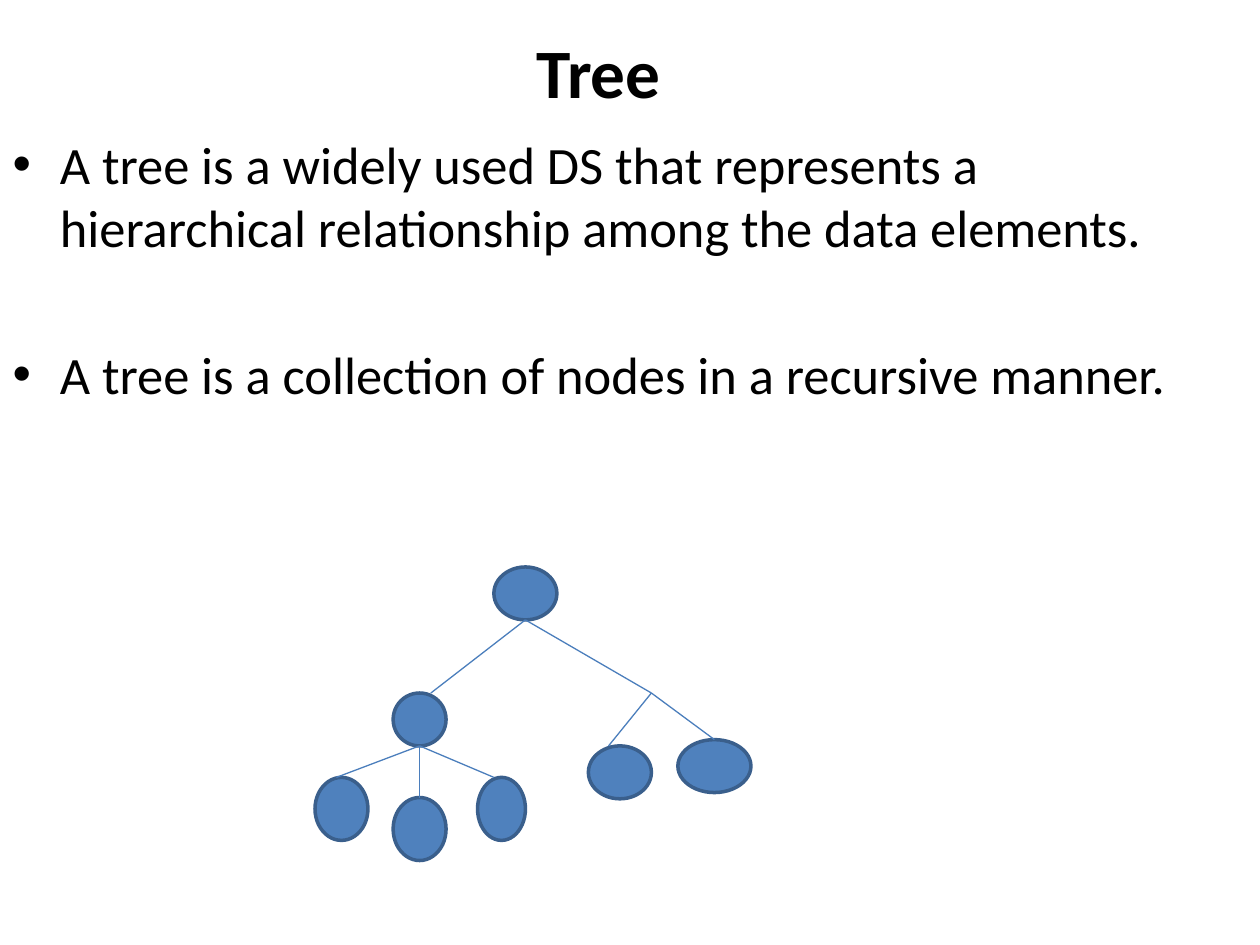
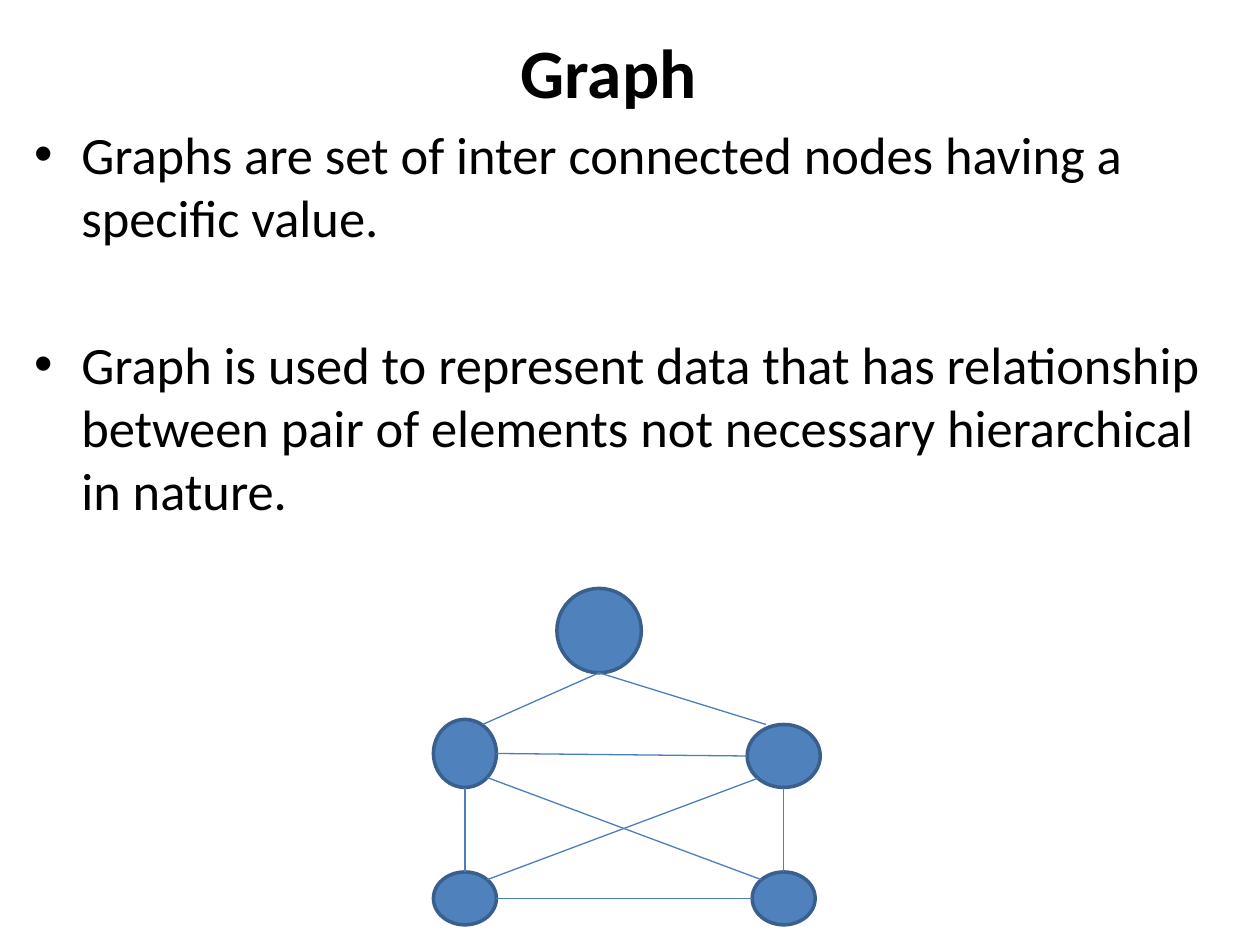
from math import sqrt

from lxml.etree import SubElement
from pptx import Presentation
from pptx.dml.color import RGBColor
from pptx.enum.shapes import MSO_CONNECTOR, MSO_SHAPE
from pptx.enum.text import MSO_ANCHOR, MSO_AUTO_SIZE, PP_ALIGN
from pptx.oxml.ns import qn
from pptx.util import Inches, Pt

TEXT, NODE_FILL, NODE_LINE, EDGE = "000000", "4F81BD", "3A5F8C", "4B7EBC"
TITLE_FONT = {"name": "Calibri", "size": Pt(39.6), "bold": True}
BODY_FONT = {"name": "Calibri", "size": Pt(30), "bold": False}
TITLE_FRAME = {"vertical_anchor": MSO_ANCHOR.MIDDLE, "auto_size": MSO_AUTO_SIZE.NONE, "word_wrap": True}
BODY_FRAME = {**TITLE_FRAME, "vertical_anchor": MSO_ANCHOR.TOP}
BULLET_GAP = Pt(48)

# Points on an ellipse, as multiples of its radii from the centre
DIAGONAL = 1 / sqrt(2)
SIDES = {
    "top": (0, -1), "left": (-1, 0), "bottom": (0, 1), "right": (1, 0),
    "top left": (-DIAGONAL, -DIAGONAL), "top right": (DIAGONAL, -DIAGONAL),
    "bottom left": (-DIAGONAL, DIAGONAL), "bottom right": (DIAGONAL, DIAGONAL),
}


def colour(hex_string):
    return RGBColor.from_string(hex_string)


def set_attributes(target, values):
    for name, value in values.items():
        setattr(target, name, value)


class Deck:
    def __init__(self):
        self.presentation = Presentation()
        set_attributes(self.presentation, {"slide_width": Inches(10), "slide_height": Inches(7.5)})
        self.slide = None
        self.nodes = {}

    def add_slide(self):
        self.slide = self.presentation.slides.add_slide(self.presentation.slide_layouts[1])
        self.nodes = {}

    def place(self, shape, box):
        names = ("left", "top", "width", "height")
        set_attributes(shape, dict(zip(names, map(Inches, box))))

    def add_text(self, paragraph, text, font):
        run = paragraph.add_run()
        run.text = text
        set_attributes(run.font, font)
        run.font.color.rgb = colour(TEXT)

    def title(self, text, left):
        shape = self.slide.shapes.title
        self.place(shape, (left, 0.17, 9, 0.78))
        set_attributes(shape.text_frame, TITLE_FRAME)
        paragraph = shape.text_frame.paragraphs[0]
        paragraph.alignment = PP_ALIGN.CENTER
        self.add_text(paragraph, text, TITLE_FONT)

    def bullets(self, box, items):
        shape = self.slide.placeholders[1]
        self.place(shape, box)
        frame = shape.text_frame
        set_attributes(frame, BODY_FRAME)
        for index, item in enumerate(items):
            paragraph = frame.paragraphs[0]
            if index:
                paragraph = frame.add_paragraph()
                paragraph.space_before = BULLET_GAP
            self.add_text(paragraph, item, BODY_FONT)

    def node(self, name, *box):
        shape = self.slide.shapes.add_shape(MSO_SHAPE.OVAL, *map(Inches, box))
        shape.shadow.inherit = False
        shape.fill.solid()
        shape.fill.fore_color.rgb = colour(NODE_FILL)
        shape.line.color.rgb = colour(NODE_LINE)
        shape.line.width = Pt(2)
        self.nodes[name] = shape

    def point(self, end):
        """Turn (node name, side) or a pair of inches into a position."""
        if end[0] not in self.nodes:
            return Inches(end[0]), Inches(end[1])
        shape, (across, down) = self.nodes[end[0]], SIDES[end[1]]
        return (int(shape.left + shape.width * (1 + across) / 2),
                int(shape.top + shape.height * (1 + down) / 2))

    def edge(self, start, end):
        connector = self.slide.shapes.add_connector(
            MSO_CONNECTOR.STRAIGHT, *self.point(start), *self.point(end))
        connector.line.color.rgb = colour(EDGE)
        connector.line.width = Pt(0.75)
        SubElement(connector._element.spPr, qn("a:effectLst"))
        if end[1] == "top":
            connector.end_connect(self.nodes[end[0]], 0)

    def diagram(self, nodes, edges):
        for name, box in nodes.items():
            self.node(name, *box)
        for start, end in edges:
            self.edge(start, end)


def tree_slide(deck):
    deck.add_slide()
    deck.title("Tree", 0.25)
    deck.bullets((0, 1, 9.92, 6.5), [
        "A tree is a widely used DS that represents a hierarchical relationship among the data elements.",
        "A tree is a collection of nodes in a recursive manner.",
    ])
    # Tree: the right branch forks without a node of its own
    root, parent, fork = ("root", "bottom"), ("parent", "bottom"), (5.17, 5.5)
    deck.diagram({
        "root": (3.92, 4.5, 0.5, 0.42),
        "parent": (3.12, 5.5, 0.42, 0.42),
        "first child": (2.5, 6.17, 0.42, 0.5),
        "second child": (3.12, 6.33, 0.42, 0.5),
        "third child": (3.79, 6.17, 0.38, 0.5),
        "left leaf": (4.67, 5.92, 0.5, 0.42),
        "right leaf": (5.38, 5.87, 0.58, 0.42),
    }, [
        (root, (3.42, 5.5)),
        (root, fork),
        (parent, (2.67, 6.17)),
        (parent, ("second child", "top")),
        (parent, (3.92, 6.17)),
        (fork, (4.83, 5.92)),
        (fork, ("right leaf", "top")),
    ])


def graph_slide(deck):
    deck.add_slide()
    deck.title("Graph", 0.33)
    deck.bullets((0.17, 0.92, 9.75, 6.42), [
        "Graphs are set of inter connected nodes having a specific value.",
        "Graph is used to represent data that has relationship between pair of elements "
        "not necessary hierarchical in nature.",
    ])
    # Graph: an apex above four nodes that are nearly all joined
    apex = ("apex", "bottom")
    deck.diagram({
        "apex": (4.42, 4.67, 0.67, 0.67),
        "upper left": (3.44, 5.71, 0.5, 0.54),
        "upper right": (5.93, 5.75, 0.58, 0.5),
        "lower left": (3.44, 6.92, 0.5, 0.42),
        "lower right": (5.97, 6.92, 0.5, 0.42),
    }, [
        (apex, (3.83, 5.75)),
        (apex, (6.08, 5.75)),
        (("upper left", "right"), ("upper right", "left")),
        (("upper left", "bottom"), ("lower left", "top")),
        (("upper right", "bottom"), ("lower right", "top")),
        (("lower left", "right"), ("lower right", "left")),
        (("lower left", "top right"), ("upper right", "bottom left")),
        (("upper left", "bottom right"), ("lower right", "top left")),
    ])


def main():
    deck = Deck()
    tree_slide(deck)
    graph_slide(deck)
    deck.presentation.save("out.pptx")


if __name__ == "__main__":
    main()
